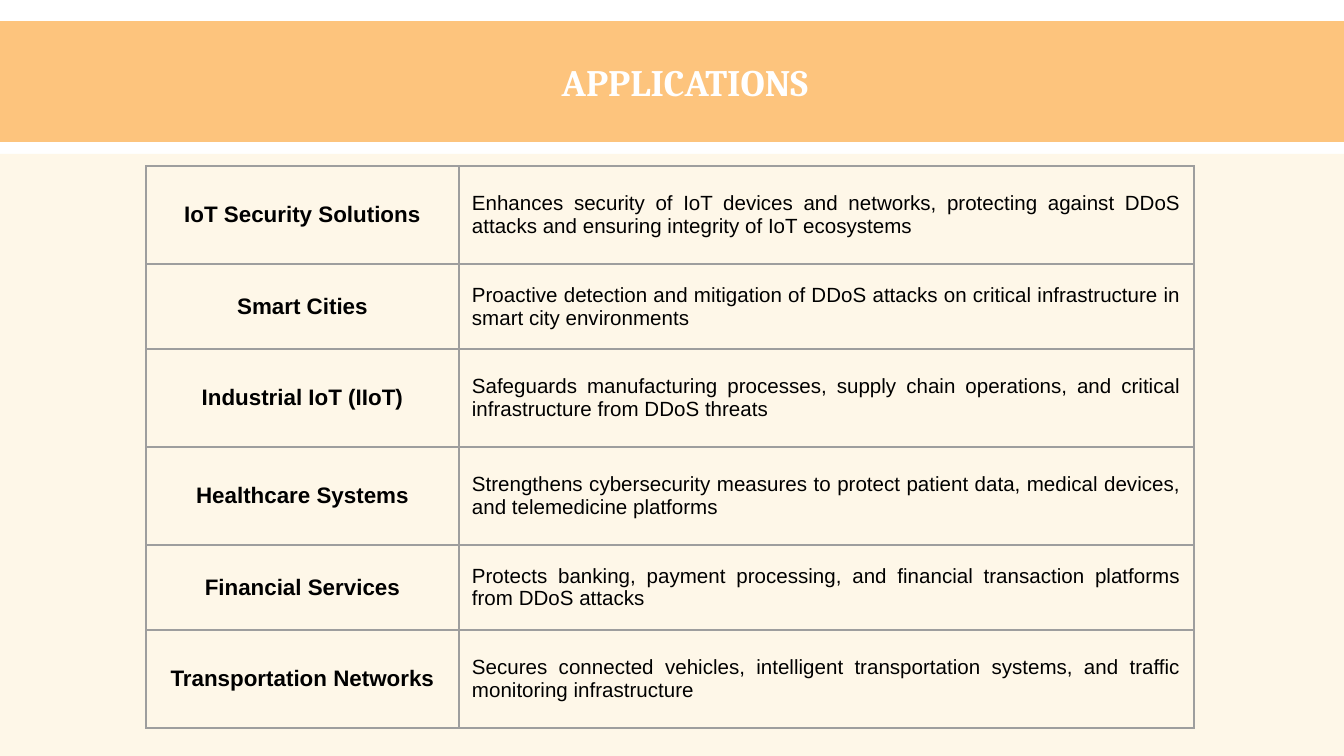
from lxml.etree import SubElement
from pptx import Presentation
from pptx.dml.color import RGBColor
from pptx.enum.shapes import MSO_SHAPE as Preset
from pptx.enum.text import MSO_ANCHOR as Anchor, MSO_AUTO_SIZE as AutoSize, PP_ALIGN as Align
from pptx.oxml import parse_xml
from pptx.oxml.ns import nsdecls, qn
from pptx.util import Pt

TITLE = "APPLICATIONS"
APPLICATIONS = [
    ("IoT Security Solutions", "Enhances security of IoT devices and networks, protecting against "
     "DDoS attacks and ensuring integrity of IoT ecosystems"),
    ("Smart Cities", "Proactive detection and mitigation of DDoS attacks on critical "
     "infrastructure in smart city environments"),
    ("Industrial IoT (IIoT)", "Safeguards manufacturing processes, supply chain operations, and "
     "critical infrastructure from DDoS threats"),
    ("Healthcare Systems", "Strengthens cybersecurity measures to protect patient data, medical "
     "devices, and telemedicine platforms"),
    ("Financial Services", "Protects banking, payment processing, and financial transaction "
     "platforms from DDoS attacks"),
    ("Transportation Networks", "Secures connected vehicles, intelligent transportation systems, "
     "and traffic monitoring infrastructure"),
]


class Theme:
    band = RGBColor.from_string("FDC47D")
    panel = RGBColor.from_string("FAC750")
    panel_alpha = 13
    border = "9E9E9E"
    border_width = Pt(0.75)
    title = dict(name="Cambria", size=Pt(20), bold=True, color="FFFFFF")
    name = dict(name="Arial", size=Pt(12), bold=True, color="000000")
    detail = dict(name="Arial", size=Pt(11), bold=False, color="000000")


SLIDE_SIZE = (1344, 756)
BAND_BOX = (-17, 21, 1404, 121)
PANEL_BOX = (-17, 154, 1404, 629)
TABLE_ORIGIN = (146, 166)
COLUMN_WIDTHS = (313, 735)
ROW_HEIGHTS = (98, 85, 98) * 2
INSET = 13
MARGINS = ("margin_left", "margin_top", "margin_right", "margin_bottom")


def px(length):
    return round(length * 914400 / 134.4)


def set_attributes(target, values):
    for key, value in values.items():
        setattr(target, key, value)


def place(shape, box):
    set_attributes(shape, dict(zip(("left", "top", "width", "height"), map(px, box))))


def write(frame, text, style, align):
    paragraph = frame.paragraphs[0]
    paragraph.alignment = align
    run = paragraph.add_run()
    run.text = text
    set_attributes(run.font, {key: style[key] for key in ("name", "size", "bold")})
    run.font.color.rgb = RGBColor.from_string(style["color"])


def add_borders(cell):
    properties = cell._tc.get_or_add_tcPr()
    for index, side in enumerate(("lnL", "lnR", "lnT", "lnB")):
        properties.insert(index, parse_xml(
            f'<a:{side} {nsdecls("a")} w="{Theme.border_width}"><a:solidFill>'
            f'<a:srgbClr val="{Theme.border}"/></a:solidFill></a:{side}>'))


def add_title(slide):
    title = slide.shapes.title
    place(title, BAND_BOX)
    title.fill.solid()
    title.fill.fore_color.rgb = Theme.band
    frame = title.text_frame
    set_attributes(frame, dict.fromkeys(MARGINS, px(INSET)))
    set_attributes(frame, dict(vertical_anchor=Anchor.MIDDLE, word_wrap=True,
                               auto_size=AutoSize.NONE))
    write(frame, TITLE, Theme.title, Align.CENTER)


def add_panel(slide):
    panel = slide.shapes.add_shape(Preset.RECTANGLE, *map(px, PANEL_BOX))
    panel.shadow.inherit = False
    panel.line.fill.background()
    panel.fill.solid()
    panel.fill.fore_color.rgb = Theme.panel
    color = panel.fill._xPr.find(qn("a:solidFill"))[0]
    SubElement(color, qn("a:alpha"), val=str(Theme.panel_alpha * 1000))


def add_applications(slide):
    box = (*TABLE_ORIGIN, sum(COLUMN_WIDTHS), sum(ROW_HEIGHTS))
    table = slide.shapes.add_table(len(APPLICATIONS), len(COLUMN_WIDTHS), *map(px, box)).table
    set_attributes(table, dict(first_row=False, horz_banding=False))
    for column, width in zip(table.columns, COLUMN_WIDTHS):
        column.width = px(width)
    formats = ((Theme.name, Align.CENTER), (Theme.detail, Align.JUSTIFY))
    for row, height, texts in zip(table.rows, ROW_HEIGHTS, APPLICATIONS):
        row.height = px(height)
        for cell, text, (style, align) in zip(row.cells, texts, formats):
            cell.fill.background()
            cell.vertical_anchor = Anchor.MIDDLE
            set_attributes(cell, dict.fromkeys(MARGINS, px(INSET)))
            add_borders(cell)
            write(cell.text_frame, text, style, align)


def main():
    presentation = Presentation()
    presentation.slide_width, presentation.slide_height = map(px, SLIDE_SIZE)
    slide = presentation.slides.add_slide(presentation.slide_layouts[5])
    add_title(slide)
    add_panel(slide)
    add_applications(slide)
    presentation.save("out.pptx")


if __name__ == "__main__":
    main()
